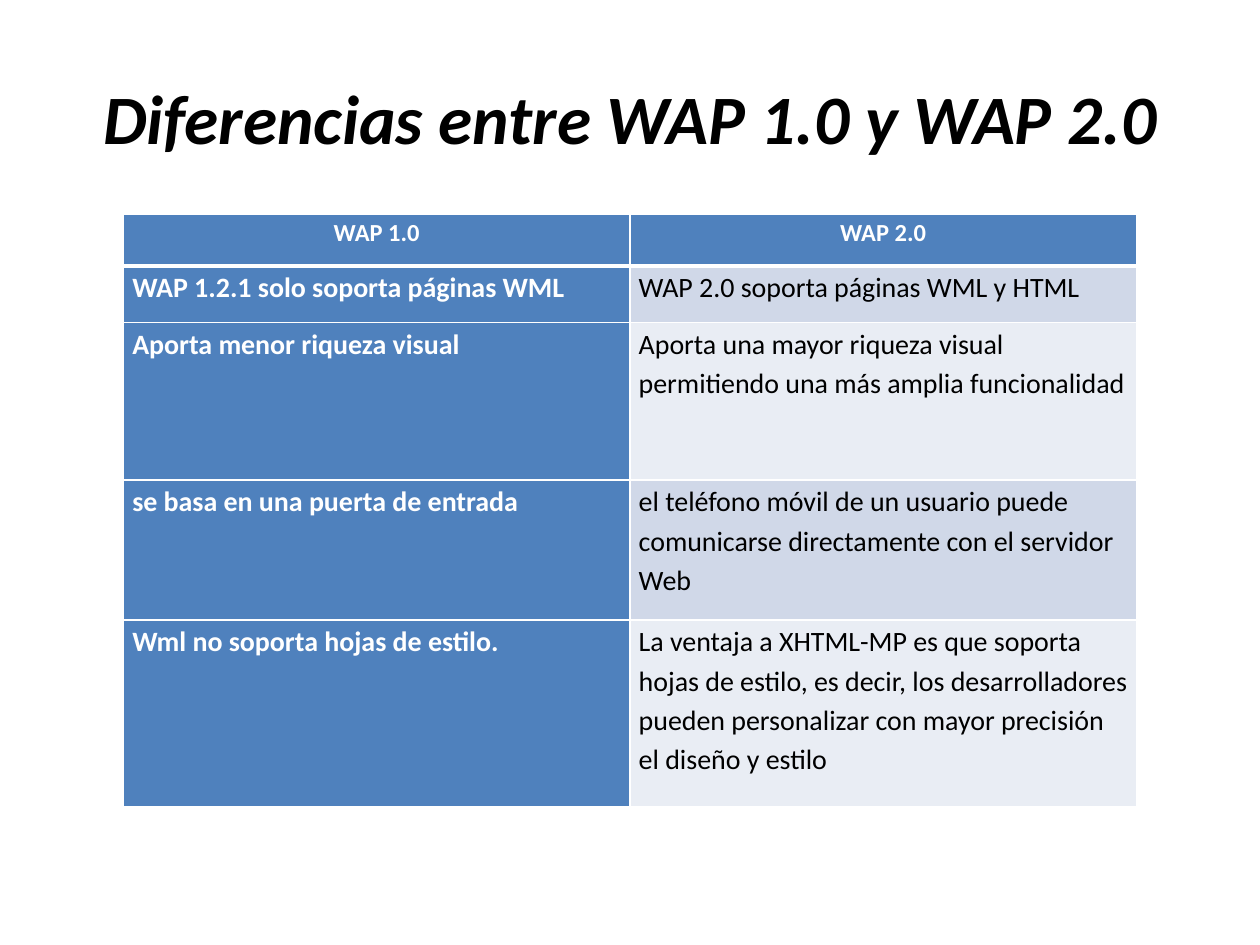
import pptx
import pptx.dml.color
import pptx.enum.text
import pptx.oxml
import pptx.oxml.ns
import pptx.util
from dataclasses import dataclass

TITLE = "Diferencias entre WAP 1.0 y WAP 2.0"
HEADINGS = ("WAP 1.0", "WAP 2.0")
DIFFERENCES = [
    ("WAP 1.2.1 solo soporta páginas WML", "WAP 2.0 soporta páginas WML y HTML"),
    ("Aporta menor riqueza visual",
     "Aporta una mayor riqueza visual permitiendo una más amplia funcionalidad"),
    ("se basa en una puerta de entrada",
     "el teléfono móvil de un usuario puede comunicarse directamente con el servidor Web"),
    ("Wml no soporta hojas de estilo.",
     "La ventaja a XHTML-MP es que soporta hojas de estilo, es decir, los "
     "desarrolladores pueden personalizar con mayor precisión el diseño y estilo"),
]
ROW_HEIGHTS = (0.41, 0.45, 1.25, 1.11, 1.48)
SLIDE_WIDTH, SLIDE_HEIGHT = 10, 7.5
TITLE_AREA = (0.5, 0.3, 9, 1.25)
TABLE_TOP, COLUMN_WIDTH = 1.7, 4.02


@dataclass(frozen=True)
class Theme:
    font: str = "Calibri"
    accent: str = "4F81BD"
    bands: tuple = ("D0D8E8", "E9EDF4")
    light: str = "FFFFFF"
    dark: str = "000000"
    title_size: float = 39.6
    heading_size: int = 14
    body_size: int = 16
    line_spacing: float = 1.15
    rule: int = 1
    heavy_rule: int = 3


THEME = Theme()
ALIGN = pptx.enum.text.PP_ALIGN
ANCHOR = pptx.enum.text.MSO_ANCHOR
inches = pptx.util.Inches


def color(value):
    return pptx.dml.color.RGBColor.from_string(value)


def write(frame, text, size, ink, bold=False, italic=False, align=ALIGN.LEFT, spacing=1.0):
    para = frame.paragraphs[0]
    para.alignment = align
    para.line_spacing = spacing
    span = para.add_run()
    span.text = text
    span.font.name = THEME.font
    span.font.size = pptx.util.Pt(size)
    span.font.bold = bold
    span.font.italic = italic
    span.font.color.rgb = color(ink)


def add_borders(cell, **widths):
    properties = cell._tc.get_or_add_tcPr()
    for position, side in enumerate("LRTB"):
        width = pptx.util.Pt(widths.get(side, THEME.rule))
        properties.insert(position, pptx.oxml.parse_xml(
            f'<a:ln{side} {pptx.oxml.ns.nsdecls("a")} w="{width}"><a:solidFill>'
            f'<a:srgbClr val="{THEME.light}"/></a:solidFill></a:ln{side}>'))


def style_cell(cell, text, row, column):
    heading = row == 0
    accented = heading or column == 0
    cell.margin_left = cell.margin_right = inches(0.07)
    cell.margin_top = cell.margin_bottom = 0
    cell.vertical_anchor = ANCHOR.TOP
    cell.fill.solid()
    cell.fill.fore_color.rgb = color(THEME.accent if accented else THEME.bands[(row - 1) % 2])
    write(cell.text_frame, text,
          size=THEME.heading_size if heading else THEME.body_size,
          ink=THEME.light if accented else THEME.dark,
          bold=accented,
          align=ALIGN.CENTER if heading else ALIGN.LEFT,
          spacing=THEME.line_spacing)
    add_borders(cell,
                T=THEME.heavy_rule if row == 1 else THEME.rule,
                B=THEME.heavy_rule if heading else THEME.rule)


def add_title(page):
    box = page.shapes.title
    box.left, box.top, box.width, box.height = map(inches, TITLE_AREA)
    frame = box.text_frame
    frame.word_wrap = True
    frame.auto_size = pptx.enum.text.MSO_AUTO_SIZE.NONE
    frame.vertical_anchor = ANCHOR.MIDDLE
    write(frame, TITLE, size=THEME.title_size, ink=THEME.dark,
          bold=True, italic=True, align=ALIGN.CENTER)


def add_comparison(page):
    rows = [HEADINGS, *DIFFERENCES]
    width = COLUMN_WIDTH * len(HEADINGS)
    table = page.shapes.add_table(
        len(rows), len(HEADINGS), inches((SLIDE_WIDTH - width) / 2), inches(TABLE_TOP),
        inches(width), inches(sum(ROW_HEIGHTS))).table
    for column in table.columns:
        column.width = inches(COLUMN_WIDTH)
    for row, (texts, height) in enumerate(zip(rows, ROW_HEIGHTS)):
        table.rows[row].height = inches(height)
        for column, text in enumerate(texts):
            style_cell(table.cell(row, column), text, row, column)


def main():
    deck = pptx.Presentation()
    deck.slide_width, deck.slide_height = inches(SLIDE_WIDTH), inches(SLIDE_HEIGHT)
    page = deck.slides.add_slide(deck.slide_layouts.get_by_name("Title Only"))
    add_title(page)
    add_comparison(page)
    deck.save("out.pptx")


if __name__ == "__main__":
    main()
